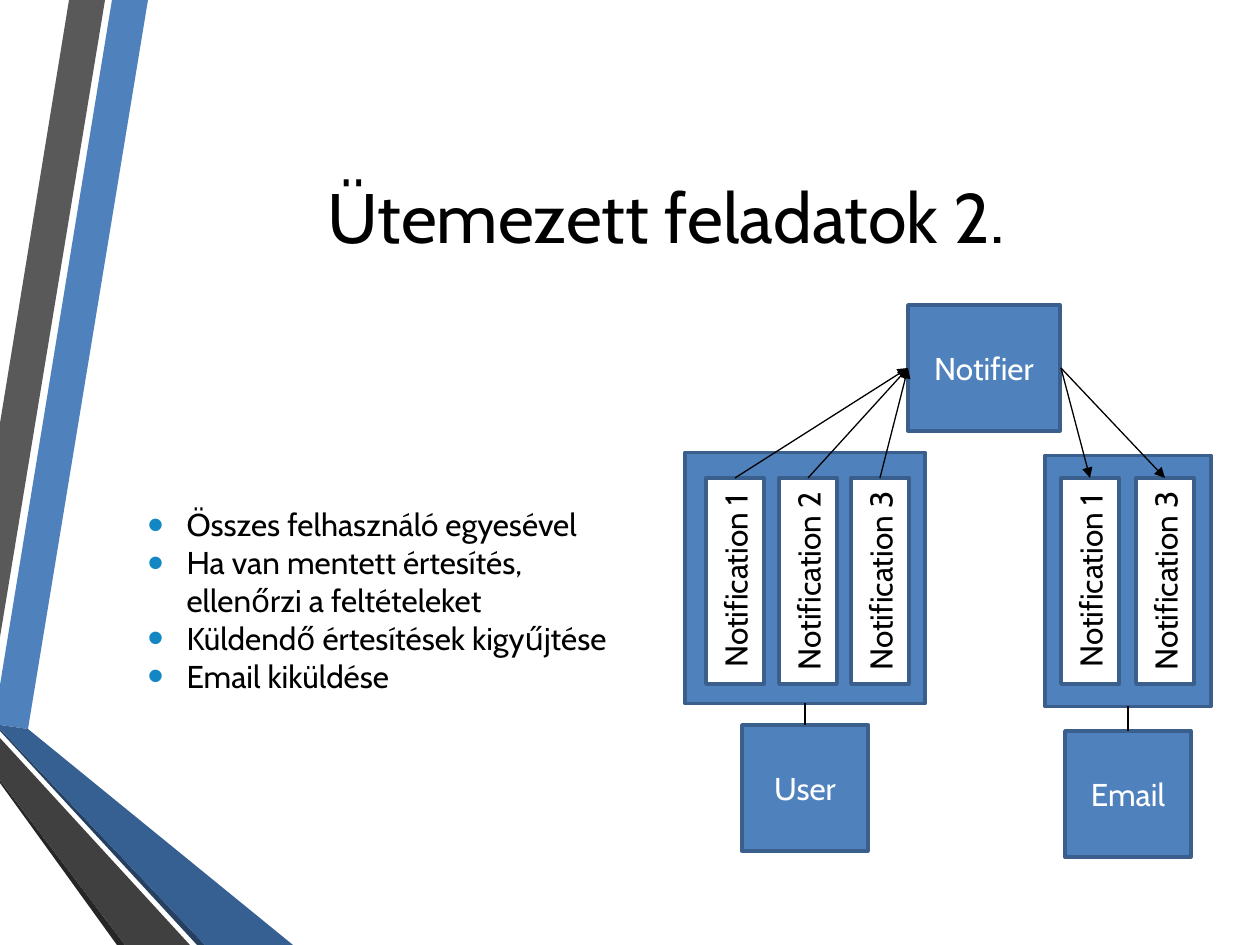
from typing import NamedTuple

from lxml import etree
from pptx import Presentation
from pptx import util as u
from pptx.dml.color import RGBColor
from pptx.enum import shapes, text
from pptx.oxml.ns import qn

SCALE = 914400 / 126
FONT = "Cabin"
COLORS = {
    "blue": "4F81BD", "border": "3A5F8C", "white": "FFFFFF", "black": "000000",
    "bullet": "1287C3", "gray": "595959", "charcoal": "404040", "coal": "262626",
    "navy": "254061", "steel": "376092",
}


class Ribbon(NamedTuple):
    """A filled outline of the corner decoration."""
    color: str
    points: list[tuple[int, int]]


class Box(NamedTuple):
    """A rectangle given by its centre and its size before rotation."""
    cx: int
    cy: int
    w: int
    h: int
    label: str = ""
    fill: str = "blue"
    ink: str = "white"
    turn: int = 0


class Link(NamedTuple):
    """A straight connection, with or without an arrowhead at its end."""
    x1: int
    y1: int
    x2: int
    y2: int
    arrow: bool = True


def px(n: float) -> int:
    """Turn pixels into EMU."""
    return u.Emu(round(n * SCALE))


def rgb(name: str) -> RGBColor:
    """Look up a colour."""
    return RGBColor.from_string(COLORS[name])


def style_text(tf, size: int, color: str, align) -> None:
    """Format every paragraph and run of a text frame."""
    tf.word_wrap = True
    tf.auto_size = text.MSO_AUTO_SIZE.NONE
    tf.vertical_anchor = text.MSO_ANCHOR.MIDDLE
    for p in tf.paragraphs:
        p.alignment = align
        p.space_before = u.Pt(0)
        for r in p.runs:
            r.font.size, r.font.name = u.Pt(size), FONT
            r.font.color.rgb = rgb(color)


def place(sp, x: int, y: int, w: int, h: int) -> None:
    """Move and resize a shape."""
    sp.left, sp.top, sp.width, sp.height = map(px, (x, y, w, h))


def add_bullet(p) -> None:
    """Give a paragraph a large coloured bullet with a hanging indent."""
    pPr = p._p.get_or_add_pPr()
    pPr.set("marL", str(px(39)))
    pPr.set("indent", str(-px(39)))
    clr = etree.SubElement(pPr, qn("a:buClr"))
    etree.SubElement(clr, qn("a:srgbClr"), val=COLORS["bullet"])
    etree.SubElement(pPr, qn("a:buSzPct"), val="145000")
    etree.SubElement(pPr, qn("a:buFont"), typeface="Arial")
    etree.SubElement(pPr, qn("a:buChar"), char="•")


def add_ribbon(s, ribbon: Ribbon) -> None:
    """Draw one decoration outline."""
    fb = s.shapes.build_freeform(*ribbon.points[0], scale=SCALE)
    fb.add_line_segments(ribbon.points[1:], close=True)
    sp = fb.convert_to_shape()
    sp.shadow.inherit = False
    sp.fill.solid()
    sp.fill.fore_color.rgb = rgb(ribbon.color)
    sp.line.fill.background()


def add_box(s, box: Box) -> None:
    """Draw one bordered rectangle with its label."""
    sp = s.shapes.add_shape(shapes.MSO_SHAPE.RECTANGLE, 0, 0, 0, 0)
    place(sp, box.cx - box.w / 2, box.cy - box.h / 2, box.w, box.h)
    sp.rotation = box.turn
    sp.shadow.inherit = False
    sp.fill.solid()
    sp.fill.fore_color.rgb = rgb(box.fill)
    sp.line.color.rgb = rgb("border")
    sp.line.width = u.Pt(2)
    if box.label:
        sp.text_frame.text = box.label
        style_text(sp.text_frame, 18, box.ink, text.PP_ALIGN.CENTER)


def add_link(s, link: Link) -> None:
    """Draw one thin connector."""
    cx = s.shapes.add_connector(shapes.MSO_CONNECTOR.STRAIGHT, *map(px, link[:4]))
    cx.line.color.rgb = rgb("black")
    cx.line.width = u.Pt(0.75)
    if link.arrow:
        etree.SubElement(cx.line._get_or_add_ln(), qn("a:tailEnd"), type="triangle")
    etree.SubElement(cx._element.spPr, qn("a:effectLst"))


RIBBONS = [
    Ribbon("blue", [(0, 685), (0, 725), (28, 729), (148, 0), (112, 0)]),
    Ribbon("gray", [(105, 0), (69, 0), (0, 423), (0, 637)]),
    Ribbon("coal", [(0, 780), (0, 783), (117, 945), (125, 945)]),
    Ribbon("navy", [(0, 729), (0, 731), (197, 945), (205, 945)]),
    Ribbon("steel", [(0, 729), (205, 945), (293, 945), (28, 729), (0, 725)]),
    Ribbon("charcoal", [(0, 780), (125, 945), (190, 945), (0, 738)]),
]
BULLETS = [
    "Összes felhasználó egyesével",
    "Ha van mentett értesítés, ellenőrzi a feltételeket",
    "Küldendő értesítések kigyűjtése",
    "Email kiküldése",
]
USER_NOTES = {1: 735, 2: 808, 3: 880}
EMAIL_NOTES = {1: 1090, 3: 1165}
NOTE_Y, NOTE_TOP, PORT_Y = 581, 478, 368
NOTIFIER_LEFT, NOTIFIER_RIGHT = 908, 1061

BOXES = [
    Box(805, 788, 126, 126, "User"),
    Box(1128, 794, 126, 126, "Email"),
    Box(805, 578, 251, 240, turn=270),
    Box(1128, 581, 251, 166, turn=270),
    Box(984, 368, 152, 126, "Notifier"),
] + [
    Box(x, NOTE_Y, 206, 58, f"Notification {n}", "white", "black", 270)
    for notes in (USER_NOTES, EMAIL_NOTES) for n, x in notes.items()
]
LINKS = (
    [Link(805, 703, 805, 725, False), Link(1128, 706, 1128, 731, False)]
    + [Link(x, NOTE_TOP, NOTIFIER_LEFT, PORT_Y) for x in USER_NOTES.values()]
    + [Link(NOTIFIER_RIGHT, PORT_Y, x, NOTE_TOP) for x in EMAIL_NOTES.values()]
)


def main() -> None:
    """Build and save the slide."""
    prs = Presentation()
    prs.slide_width, prs.slide_height = px(1260), px(945)
    s = prs.slides.add_slide(prs.slide_layouts[1])
    for ribbon in RIBBONS:
        add_ribbon(s, ribbon)

    title, body = s.placeholders
    place(title, 135, 95, 1062, 242)
    title.text_frame.text = "Ütemezett feladatok 2."
    style_text(title.text_frame, 40, "black", text.PP_ALIGN.CENTER)

    place(body, 135, 368, 515, 464)
    body.text_frame.text = "\n".join(BULLETS)
    style_text(body.text_frame, 18, "black", text.PP_ALIGN.LEFT)
    for p in body.text_frame.paragraphs:
        add_bullet(p)

    for box in BOXES:
        add_box(s, box)
    for link in LINKS:
        add_link(s, link)
    prs.save("out.pptx")


main()
